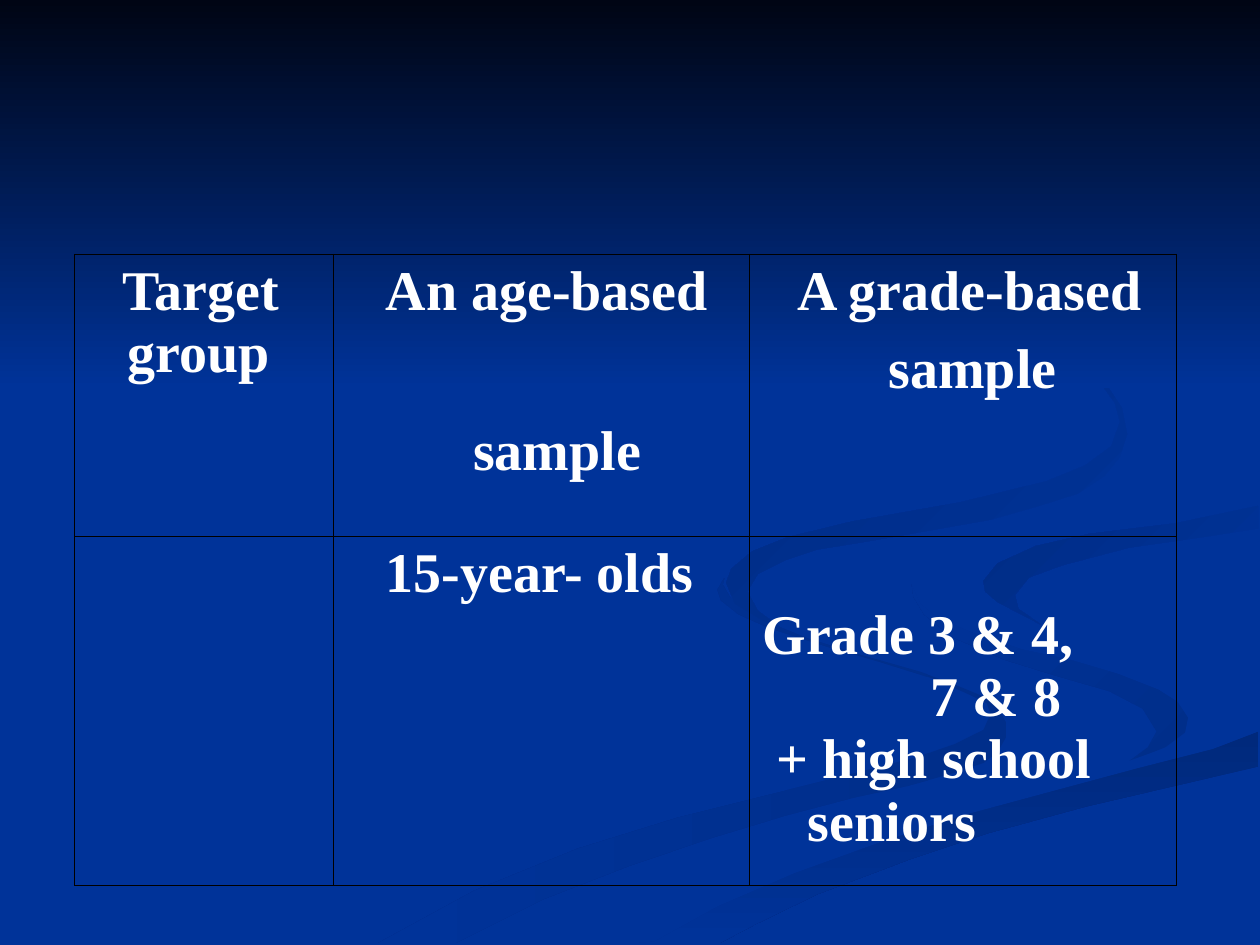
from dataclasses import dataclass

from lxml import etree
from pptx import Presentation
from pptx.dml.color import RGBColor
from pptx.enum import shapes
from pptx.oxml.ns import qn
from pptx.util import Pt


@dataclass(frozen=True)
class Theme:
    base: str = "003399"
    night: str = "000514"
    shade: str = "002E8A"
    deep: str = "00297C"
    dusk: str = "002C85"
    dim: str = "002B81"
    text: str = "FFFFFF"
    border: str = "000000"
    font: str = "Times New Roman"
    size: int = 32
    border_width: float = 0.45


THEME = Theme()
rgb = RGBColor.from_string

# Edges shared by neighbouring ribbons, in points
CREST = [(521, 334), (526, 345), (536, 353), (557, 362), (584, 371),
         (612, 377), (639, 385), (662, 394), (673, 401), (679, 410)]
SWEEP = [(719, 418), (693, 428), (650, 439), (598, 453), (550, 466),
         (501, 482), (454, 499), (410, 518), (374, 538), (362, 539)]
BEND = [(719, 289), (672, 299), (623, 305), (592, 312), (570, 322), (562, 332)]

LOWER_LEFT = [
    (562, 398), (545, 391), (526, 384), (491, 374), (462, 365), (442, 357),
    (428, 349), (417, 341), (413, 334), (414, 330), (410, 337), (412, 343),
    (422, 351), (440, 359), (471, 369), (502, 378), (534, 388), (554, 397),
    (564, 402), (566, 408), (562, 417), (546, 425), (523, 433), (492, 441),
    (444, 453), (388, 467), (330, 485), (271, 509), (216, 539), (260, 539),
    (310, 514), (359, 495), (406, 479), (449, 466), (487, 456), (519, 449),
    (544, 442), (562, 436), (570, 430), (575, 421), (575, 413), (570, 404)]
RIGHT_CURL = CREST[::-1] + [
    (522, 341), (528, 351), (544, 364), (574, 377), (603, 386), (634, 395),
    (653, 405), (661, 418), (656, 427), (644, 436), (666, 427), (678, 418)]
BOTTOM_SWEEP = SWEEP + [
    (411, 539), (432, 528), (467, 511), (520, 491), (565, 476), (620, 461),
    (719, 438)]
WIDE_BAND = CREST + [
    (677, 420), (667, 427), (642, 436), (607, 445), (562, 456), (507, 472),
    (446, 492), (379, 521), (343, 539)] + SWEEP[::-1] + [
    (719, 387), (678, 379), (624, 366), (588, 354), (566, 341)] + BEND[::-1] + [
    (719, 279), (678, 287), (629, 294), (582, 300), (554, 307), (534, 316),
    (523, 327)]
RIGHT_BEND = BEND + [
    (563, 338), (570, 344), (595, 357), (582, 348), (580, 340), (588, 330),
    (607, 323), (645, 313), (687, 307), (719, 302)]
UPPER_CURL = [
    (492, 310), (532, 303), (566, 297), (594, 289), (616, 282), (631, 272),
    (640, 261), (644, 248), (641, 233), (629, 215), (607, 198), (575, 180),
    (549, 168), (580, 183), (609, 201), (626, 215), (637, 230), (640, 241),
    (635, 255), (620, 266), (598, 275), (549, 287), (487, 298), (450, 307),
    (430, 315), (418, 325), (415, 333), (420, 345), (435, 354), (448, 360),
    (433, 349), (427, 338), (433, 328), (449, 320), (467, 314)]

# outline, first colour, last colour, clockwise gradient angle
RIBBONS = [
    (LOWER_LEFT, THEME.shade, THEME.base, 180),
    (RIGHT_CURL, THEME.shade, THEME.base, 225),
    (BOTTOM_SWEEP, THEME.deep, THEME.base, 90),
    (WIDE_BAND, THEME.base, THEME.base, 0),
    (RIGHT_BEND, THEME.base, THEME.dusk, 225),
    (UPPER_CURL, THEME.base, THEME.dim, 225),
]

# Each paragraph: text, left margin, first-line indent, space before
COLUMNS = [147.6, 238.3, 243.6]
ROWS = [161.2, 199.4]
CELLS = [
    [[("Target", 20, 0, 0), ("group", 23, 0, 0)],
     [("An age-based", 23, 0, 0), ("sample", 73, 0, 56)],
     [("A grade-based", 20, 0, 0), ("sample", 72, 0, 9)]],
    [[],
     [("15-year- olds", 23, 0, 0)],
     [("Grade 3 & 4,", 0, 0, 0), ("7 & 8", 96, 0, 0),
      ("+ high school seniors", 26, -18, 0)]],
]
TOP_MARGIN = 3.6
GRADE_TOP_MARGIN = 39


def paint(sp, first, last, angle):
    sp.shadow.inherit = False
    sp.line.fill.background()
    if first == last:
        sp.fill.solid()
        sp.fill.fore_color.rgb = rgb(first)
        return
    sp.fill.gradient()
    sp.fill.gradient_angle = (360 - angle) % 360
    for stop, color in zip(sp.fill.gradient_stops, (first, last)):
        stop.color.rgb = rgb(color)


def add_backdrop(s, width, sky_height):
    fill = s.background.fill
    fill.solid()
    fill.fore_color.rgb = rgb(THEME.base)
    for outline, *colors in RIBBONS:
        builder = s.shapes.build_freeform(*outline[0], scale=Pt(1))
        builder.add_line_segments(outline[1:], close=True)
        paint(builder.convert_to_shape(), *colors)
    sky = s.shapes.add_shape(shapes.MSO_SHAPE.RECTANGLE, 0, 0,
                             Pt(width), Pt(sky_height))
    paint(sky, THEME.night, THEME.base, 90)


def add_borders(cell):
    tc_pr = cell._tc.get_or_add_tcPr()
    for i, side in enumerate(("lnL", "lnR", "lnT", "lnB")):
        ln = etree.Element(qn(f"a:{side}"), w=str(Pt(THEME.border_width)))
        solid = etree.SubElement(ln, qn("a:solidFill"))
        etree.SubElement(solid, qn("a:srgbClr"), val=THEME.border)
        tc_pr.insert(i, ln)


def write_cell(cell, paragraphs):
    tf = cell.text_frame
    for i, (text, left, indent, before) in enumerate(paragraphs):
        p = tf.add_paragraph() if i else tf.paragraphs[0]
        p.space_before = Pt(before)
        p_pr = p._p.get_or_add_pPr()
        p_pr.set("marL", str(Pt(left)))
        p_pr.set("indent", str(Pt(indent)))
        r = p.add_run()
        r.text = text
        for name, value in {"name": THEME.font, "size": Pt(THEME.size),
                            "bold": True}.items():
            setattr(r.font, name, value)
        r.font.color.rgb = rgb(THEME.text)


def add_sample_table(s, left, top):
    frame = s.shapes.add_table(len(ROWS), len(COLUMNS), Pt(left), Pt(top),
                               Pt(sum(COLUMNS)), Pt(sum(ROWS)))
    table = frame.table
    table.first_row = table.horz_banding = False
    for column, width in zip(table.columns, COLUMNS):
        column.width = Pt(width)
    for row, height, contents in zip(table.rows, ROWS, CELLS):
        row.height = Pt(height)
        for cell, paragraphs in zip(row.cells, contents):
            cell.fill.background()
            cell.margin_top = Pt(TOP_MARGIN)
            add_borders(cell)
            write_cell(cell, paragraphs)
    table.cell(1, 2).margin_top = Pt(GRADE_TOP_MARGIN)


def main():
    prs = Presentation()
    prs.slide_width, prs.slide_height = Pt(720), Pt(540)
    s = prs.slides.add_slide(prs.slide_layouts[6])
    add_backdrop(s, 720, 222)
    add_sample_table(s, 42.6, 145.3)
    prs.save("out.pptx")


if __name__ == "__main__":
    main()
